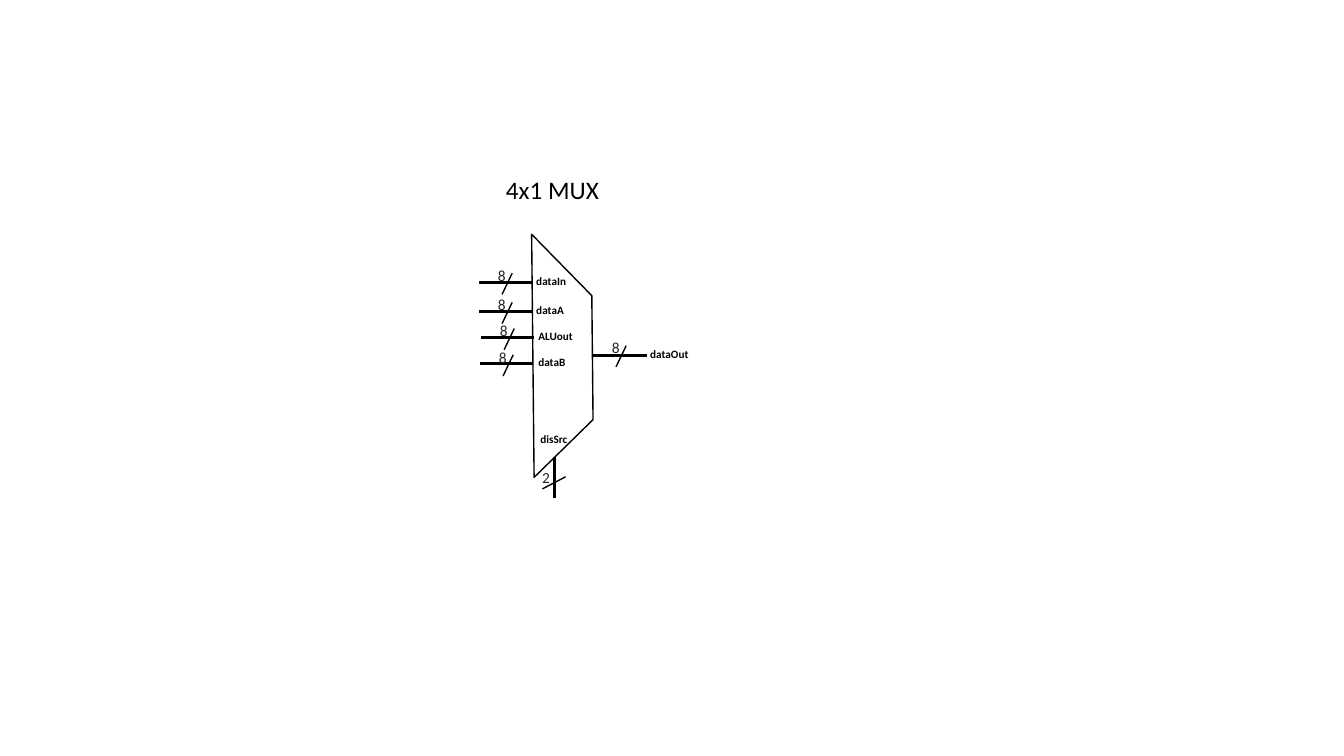
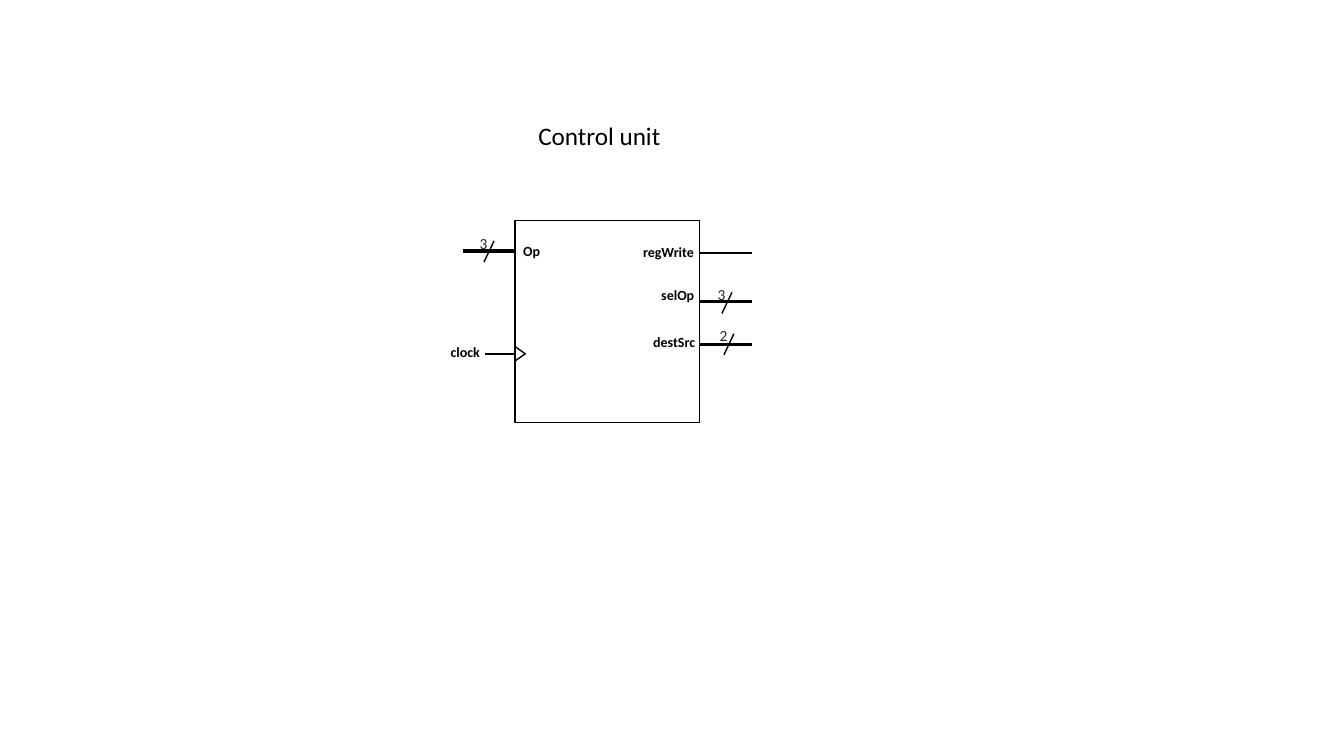
import pptx
import pptx.util
import pptx.dml.color
import pptx.enum.shapes
import pptx.enum.text
import pptx.oxml.ns
import lxml.etree

Inches = pptx.util.Inches
Pt = pptx.util.Pt
MSO_SHAPE = pptx.enum.shapes.MSO_SHAPE

BLACK = pptx.dml.color.RGBColor(0x00, 0x00, 0x00)
DARK_GREY = pptx.dml.color.RGBColor(0x26, 0x26, 0x26)
BUS, SIGNAL, OUTLINE = Pt(2.25), Pt(1.5), Pt(1)
TITLE = {"size": Pt(18), "bold": False}
MUX_PORT = {"size": Pt(8), "bold": True}
UNIT_PORT = {"size": Pt(10), "bold": True}
BIT_COUNT = {"size": Pt(11), "bold": False}

deck = pptx.Presentation()
deck.slide_width, deck.slide_height = Inches(13.33), Inches(7.5)


def add_wire(slide, x1, y1, x2, y2, width):
    wire = slide.shapes.add_connector(
        pptx.enum.shapes.MSO_CONNECTOR.STRAIGHT,
        Inches(x1), Inches(y1), Inches(x2), Inches(y2))
    wire.line.color.rgb = BLACK
    wire.line.width = width
    properties = wire._element.find(pptx.oxml.ns.qn("p:spPr"))
    lxml.etree.SubElement(properties, pptx.oxml.ns.qn("a:effectLst"))


def add_label(slide, text, x, y, width, height, style, color=BLACK):
    frame = slide.shapes.add_textbox(
        Inches(x), Inches(y), Inches(width), Inches(height)).text_frame
    frame.word_wrap = True
    frame.auto_size = pptx.enum.text.MSO_AUTO_SIZE.SHAPE_TO_FIT_TEXT
    run = frame.paragraphs[0].add_run()
    run.text = text
    run.font.name = "Calibri"
    run.font.color.rgb = color
    for attribute, value in style.items():
        setattr(run.font, attribute, value)


mux = {
    "title": ("4x1 MUX", 4.92, 1.68),
    "outlines": [(MSO_SHAPE.DIAGONAL_STRIPE, 4.45, 2.66, 1.67, 1.74, 135.6)],
    "wires": [
        (5.28, 2.8, 4.75, 2.8, BUS),
        (5.28, 3.09, 4.75, 3.09, BUS),
        (5.3, 3.35, 4.77, 3.35, BUS),
        (5.29, 3.61, 4.76, 3.61, BUS),
        (6.42, 3.53, 5.88, 3.53, BUS),
        (5.5, 4.94, 5.5, 4.53, BUS),
        (5.61, 4.73, 5.38, 4.85, OUTLINE),
    ],
    "slashes": [("8", 5.08, 2.71), ("8", 5.08, 3), ("8", 5.1, 3.26),
                ("8", 5.09, 3.52), ("8", 6.21, 3.43)],
    "port_style": MUX_PORT,
    "port_height": 0.24,
    "ports": [
        ("dataIn", 5.22, 2.67, 0.65),
        ("dataA", 5.22, 2.96, 0.65),
        ("ALUout", 5.24, 3.22, 0.65),
        ("dataB", 5.24, 3.48, 0.65),
        ("disSrc", 5.26, 4.24, 0.65),
        ("dataOut", 6.35, 3.4, 0.65),
    ],
}
control_unit = {
    "title": ("Control unit", 5.24, 1.14),
    "outlines": [
        (MSO_SHAPE.RECTANGLE, 5.11, 2.19, 1.83, 2, 0),
        (MSO_SHAPE.ISOSCELES_TRIANGLE, 5.09, 3.46, 0.14, 0.1, 90),
    ],
    "wires": [
        (5.12, 2.49, 4.59, 2.49, BUS),
        (5.12, 3.51, 4.81, 3.51, SIGNAL),
        (7.46, 2.51, 6.94, 2.51, SIGNAL),
        (7.46, 2.99, 6.93, 2.99, BUS),
        (7.46, 3.42, 6.93, 3.42, BUS),
    ],
    "slashes": [("3", 4.9, 2.39), ("3", 7.26, 2.9), ("2", 7.28, 3.31)],
    "port_style": UNIT_PORT,
    "port_height": 0.27,
    "ports": [
        ("Op", 5.09, 2.36, 0.49),
        ("clock", 4.37, 3.36, 0.65),
        ("regWrite", 6.28, 2.37, 0.96),
        ("selOp", 6.46, 2.79, 0.65),
        ("destSrc", 6.38, 3.26, 0.65),
    ],
}

for block in (mux, control_unit):
    slide = deck.slides.add_slide(deck.slide_layouts[6])
    add_label(slide, *block["title"], 2.11, 0.4, TITLE)

    for preset, x, y, width, height, rotation in block["outlines"]:
        outline = slide.shapes.add_shape(
            preset, Inches(x), Inches(y), Inches(width), Inches(height))
        outline.rotation = rotation
        outline.shadow.inherit = False
        outline.fill.background()
        outline.line.color.rgb = BLACK
        outline.line.width = OUTLINE
        if preset == MSO_SHAPE.DIAGONAL_STRIPE:
            outline.adjustments[0] = 0.51

    for wire in block["wires"]:
        add_wire(slide, *wire)

    for bits, x, y in block["slashes"]:
        add_wire(slide, x, y, x - 0.1, y + 0.21, OUTLINE)
        add_label(slide, bits, x - 0.24, y - 0.12, 0.23, 0.29, BIT_COUNT, DARK_GREY)

    for name, x, y, width in block["ports"]:
        add_label(slide, name, x, y, width, block["port_height"], block["port_style"])

    if block is mux:
        add_label(slide, "2", 5.28, 4.59, 0.23, 0.29, BIT_COUNT, DARK_GREY)

deck.save("out.pptx")
